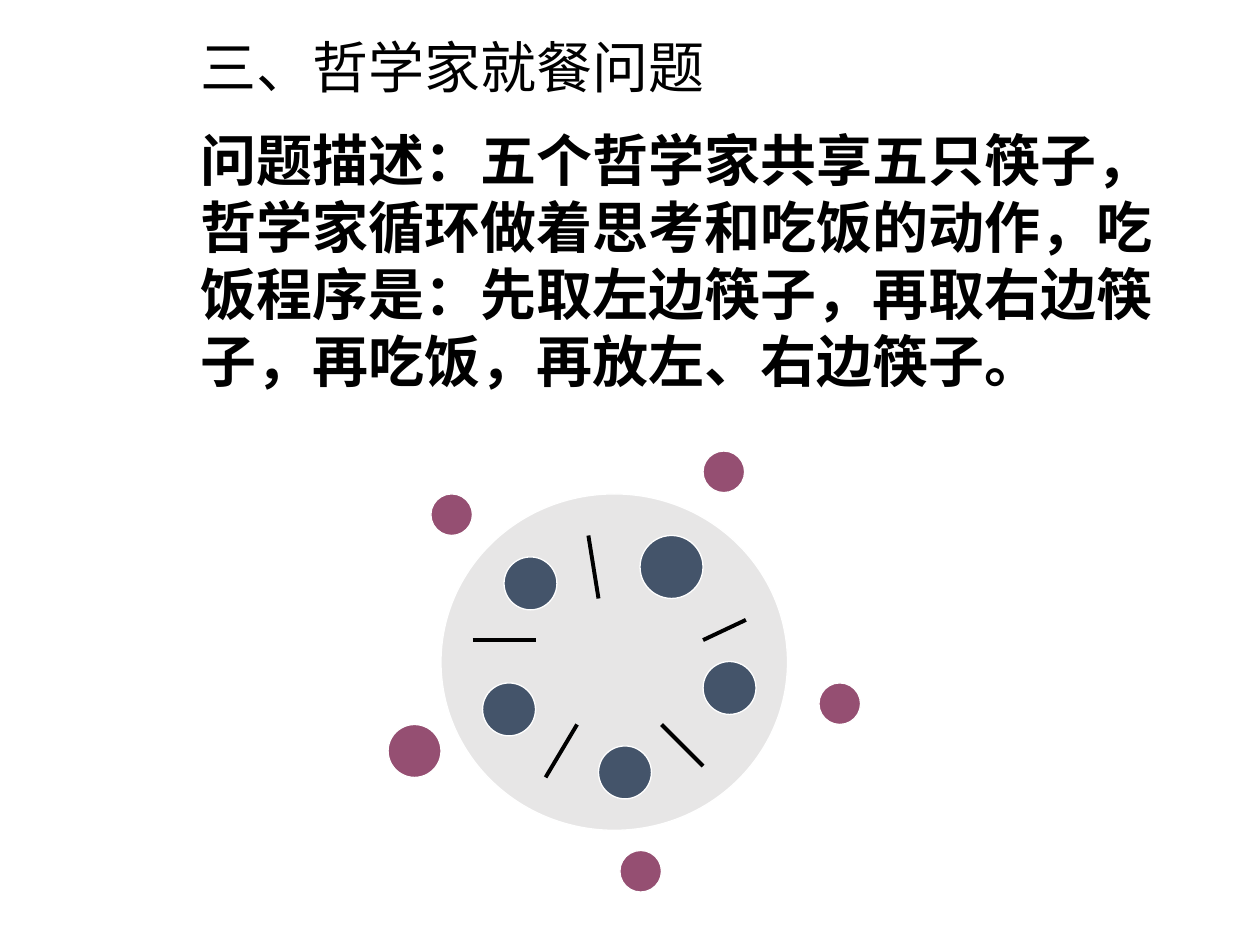
from pptx import Presentation
from pptx.dml.color import RGBColor
from pptx.enum.shapes import MSO_CONNECTOR as CONN, MSO_SHAPE as SHAPE
from pptx.oxml.ns import qn
from pptx.util import Inches, Pt
from lxml.etree import SubElement

TITLE = "三、哲学家就餐问题"
BODY = ("问题描述：五个哲学家共享五只筷子，哲学家循环做着思考和吃饭的动作，"
        "吃饭程序是：先取左边筷子，再取右边筷子，再吃饭，再放左、右边筷子。")
PARAGRAPHS = [(TITLE, False, 0), (BODY, True, 14.4)]

TABLE = (3.5, 3.92, 2.75, 2.67)
PLATES = [(4.75, 5.92, 0.42), (5.58, 5.25, 0.42), (5.08, 4.25, 0.5),
          (4, 4.42, 0.42), (3.83, 5.42, 0.42)]
CHOPSTICKS = [(4.58, 5.75, 4.33, 6.17), (5.25, 5.75, 5.58, 6.08),
              (5.58, 5.08, 5.92, 4.92), (4.75, 4.75, 4.67, 4.25),
              (3.75, 5.08, 4.25, 5.08)]
PHILOSOPHERS = [(5.58, 3.58, 0.33), (6.5, 5.42, 0.33), (3.42, 3.92, 0.33),
                (3.08, 5.75, 0.42), (4.92, 6.75, 0.33)]

THEME = {
    "font": "Noto Sans CJK SC", "size": 32, "leading": 38.4,
    "text": "000000", "outline": "FFFFFF", "table": "E7E6E6",
    "plate": "44546A", "philosopher": "954F72", "chopstick": "000000",
}


def color(key):
    return RGBColor.from_string(THEME[key])


def add_text(s):
    tf = s.shapes.add_textbox(*map(Inches, (1.07, 0.17, 8.6, 2.97))).text_frame
    tf.word_wrap = True
    tf.margin_top = Inches(0.09)
    for i, (text, bold, before) in enumerate(PARAGRAPHS):
        p = tf.paragraphs[0] if i == 0 else tf.add_paragraph()
        r = p.add_run()
        r.text = text
        p._p.get_or_add_pPr().set("marL", str(Inches(0.42)))
        p.line_spacing = Pt(THEME["leading"])
        p.space_before = Pt(before)
        for font in (p.font, r.font):
            font.name, font.size, font.bold = THEME["font"], Pt(THEME["size"]), bold
            font.color.rgb = color("text")
            SubElement(font._element, qn("a:ea"), typeface=THEME["font"])


def add_disc(s, x, y, w, h, fill):
    sp = s.shapes.add_shape(SHAPE.OVAL, *map(Inches, (x, y, w, h)))
    sp.shadow.inherit = False
    sp.fill.solid()
    sp.fill.fore_color.rgb = color(fill)
    sp.line.color.rgb = color("outline")
    sp.line.width = Pt(0.75)


def add_chopstick(s, ends):
    sp = s.shapes.add_connector(CONN.STRAIGHT, *map(Inches, ends))
    sp.line.color.rgb = color("chopstick")
    sp.line.width = Pt(2.25)
    SubElement(sp._element.spPr, qn("a:effectLst"))


def main():
    """Build the dining philosophers slide."""
    prs = Presentation()
    prs.slide_width, prs.slide_height = Inches(10), Inches(7.5)
    s = prs.slides.add_slide(prs.slide_layouts[6])
    add_text(s)
    add_disc(s, *TABLE, "table")
    for x, y, d in PLATES:
        add_disc(s, x, y, d, d, "plate")
    for ends in CHOPSTICKS:
        add_chopstick(s, ends)
    for x, y, d in PHILOSOPHERS:
        add_disc(s, x, y, d, d, "philosopher")
    prs.save("out.pptx")


if __name__ == "__main__":
    main()
